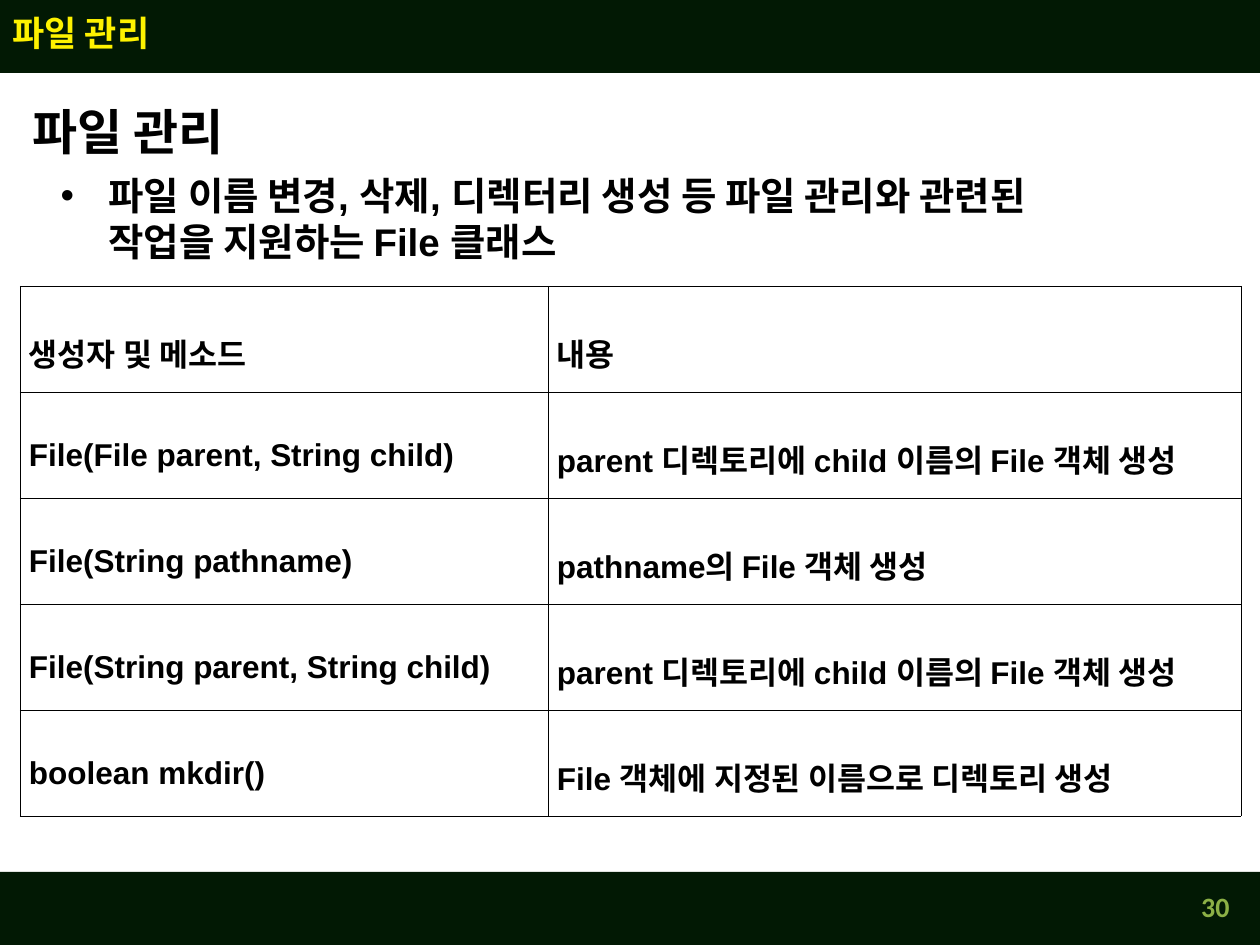
from copy import deepcopy

from pptx import Presentation
from pptx.dml.color import RGBColor
from pptx.enum.shapes import MSO_SHAPE
from pptx.enum.text import MSO_ANCHOR, MSO_AUTO_SIZE, PP_ALIGN
from pptx.oxml import parse_xml
from pptx.oxml.ns import nsdecls, qn
from pptx.util import Emu, Pt

EMU_PER_PX = 914400 / 126


def px(length):
    return Emu(round(length * EMU_PER_PX))


def color(value):
    return RGBColor.from_string(value)


def assign(target, values):
    for key, value in values.items():
        setattr(target, key, value)


class SlideBuilder:
    """Hold the style and the current slide, and add each kind of element."""

    BAR = "021904"
    YELLOW = "FEF200"
    GREEN = "8CB046"
    BLACK = "000000"
    BORDER_WIDTH = Pt(0.28)

    def __init__(self, slide):
        self.slide = slide

    def place(self, shape, box):
        assign(shape, dict(zip(("left", "top", "width", "height"), map(px, box))))

    def set_paragraph(self, paragraph, text, size, ink, font, **layout):
        paragraph.text = text
        assign(paragraph, layout)
        for run in paragraph.runs:
            assign(run.font, {"size": Pt(size), "name": font, "bold": True})
            run.font.color.rgb = color(ink)
        for line_break in paragraph._p.findall(qn("a:br")):
            line_break.append(deepcopy(paragraph.runs[0].font._element))

    def bar(self, *box):
        bar = self.slide.shapes.add_shape(MSO_SHAPE.RECTANGLE, *map(px, box))
        bar.shadow.inherit = False
        bar.fill.solid()
        bar.fill.fore_color.rgb = color(self.BAR)
        bar.line.fill.background()

    def fill_text(self, shape, text, size, ink, font="Arial", anchor=MSO_ANCHOR.TOP,
                  align=PP_ALIGN.LEFT):
        assign(shape.text_frame, {
            "word_wrap": False,
            "auto_size": MSO_AUTO_SIZE.SHAPE_TO_FIT_TEXT,
            "vertical_anchor": anchor,
        })
        self.set_paragraph(shape.text_frame.paragraphs[0], text, size, ink, font,
                           alignment=align, space_before=Pt(0))

    def label(self, box, text, size, ink, **style):
        label = self.slide.shapes.add_textbox(*map(px, box))
        self.fill_text(label, text, size, ink, **style)

    def title(self, box, text):
        title = self.slide.shapes.title
        self.place(title, box)
        self.fill_text(title, text, 20, self.YELLOW, anchor=MSO_ANCHOR.MIDDLE)
        self.slide.shapes._spTree.append(title._element)

    def bullet(self, box, text, indent):
        body = self.slide.placeholders[1]
        self.place(body, box)
        self.fill_text(body, text, 22, self.BLACK)
        properties = body.text_frame.paragraphs[0]._p.get_or_add_pPr()
        properties.set("marL", str(px(indent)))
        properties.set("indent", str(-px(indent)))

    def border(self, cell):
        properties = cell._tc.get_or_add_tcPr()
        for position, side in enumerate(("lnL", "lnR", "lnT", "lnB")):
            properties.insert(position, parse_xml(
                f'<a:{side} {nsdecls("a")} w="{self.BORDER_WIDTH}"><a:solidFill>'
                f'<a:srgbClr val="{self.BLACK}"/></a:solidFill></a:{side}>'))

    def table(self, left, top, column_widths, row_height, rows):
        table = self.slide.shapes.add_table(
            len(rows), len(column_widths), px(left), px(top),
            px(sum(column_widths)), px(row_height * len(rows))).table
        assign(table, {"first_row": False, "horz_banding": False})
        for column, width in zip(table.columns, column_widths):
            column.width = px(width)
        for row, texts in zip(table.rows, rows):
            row.height = px(row_height)
            for cell, text in zip(row.cells, texts):
                assign(cell, {
                    "margin_left": px(9), "margin_right": px(9),
                    "margin_top": px(3), "margin_bottom": px(3),
                    "vertical_anchor": MSO_ANCHOR.MIDDLE,
                })
                cell.fill.background()
                self.border(cell)
                self.set_paragraph(cell.text_frame.paragraphs[0], text, 18, self.BLACK,
                                   "Arial", alignment=PP_ALIGN.JUSTIFY, line_spacing=1.6)


def main():
    deck = Presentation()
    assign(deck, {"slide_width": px(1260), "slide_height": px(945)})
    page = SlideBuilder(deck.slides.add_slide(deck.slide_layouts[1]))

    for bar_top in (0, 872):
        page.bar(0, bar_top, 1260, 73)
    page.label((1143, 883, 99, 50), "30", 16, page.GREEN, font="Calibri",
               align=PP_ALIGN.RIGHT)
    page.title((0, 5, 179, 55), "파일 관리")
    page.label((20, 95, 234, 72), "파일 관리", 28, page.BLACK, font="Calibri")
    page.bullet((48, 166, 1111, 106),
                "파일 이름 변경, 삭제, 디렉터리 생성 등 파일 관리와 관련된\v"
                "작업을 지원하는 File 클래스", indent=48)

    child_file = "parent 디렉토리에 child 이름의 File 객체 생성"
    page.table(20, 286, (528, 693), 106, [
        ("생성자 및 메소드", "내용"),
        ("File(File parent, String child)", child_file),
        ("File(String pathname)", "pathname의 File 객체 생성"),
        ("File(String parent, String child)", child_file),
        ("boolean mkdir()", "File 객체에 지정된 이름으로 디렉토리 생성"),
    ])
    deck.save("out.pptx")


if __name__ == "__main__":
    main()
